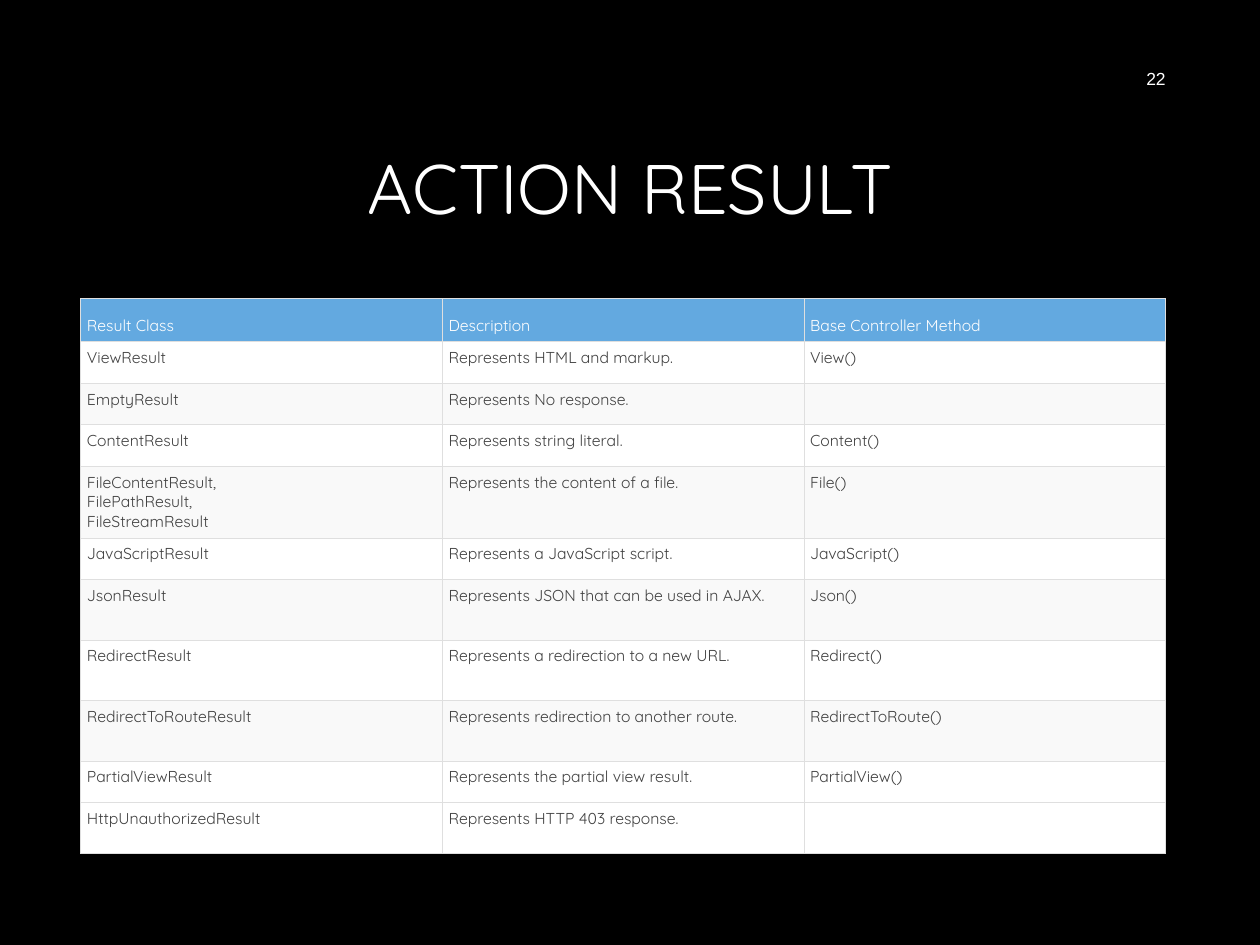
from lxml import etree
from pptx import Presentation
from pptx.dml.color import RGBColor
from pptx.enum.text import MSO_ANCHOR, PP_ALIGN
from pptx.oxml.ns import qn
from pptx.util import Inches, Pt

TOP, MIDDLE, BOTTOM = MSO_ANCHOR.TOP, MSO_ANCHOR.MIDDLE, MSO_ANCHOR.BOTTOM
CENTER, RIGHT = PP_ALIGN.CENTER, PP_ALIGN.RIGHT

BLACK, WHITE, GREY = "000000", "FFFFFF", "DFDFDF"
HEADER_FILL, BAND_FILL, BODY_TEXT = "63A9E0", "F9F9F9", "414141"

HEADERS = ("Result Class", "Description", "Base Controller Method")
RESULTS = [
    ("ViewResult", "Represents HTML and markup.", "View()"),
    ("EmptyResult", "Represents No response.", ""),
    ("ContentResult", "Represents string literal.", "Content()"),
    ("FileContentResult,\nFilePathResult,\nFileStreamResult",
     "Represents the content of a file.", "File()"),
    ("JavaScriptResult", "Represents a JavaScript script.", "JavaScript()"),
    ("JsonResult", "Represents JSON that can be used in AJAX.", "Json()"),
    ("RedirectResult", "Represents a redirection to a new URL.", "Redirect()"),
    ("RedirectToRouteResult", "Represents redirection to another route.",
     "RedirectToRoute()"),
    ("PartialViewResult", "Represents the partial view result.", "PartialView()"),
    ("HttpUnauthorizedResult", "Represents HTTP 403 response.", ""),
]
ROW_HEIGHTS = (0.31, 0.34, 0.33, 0.33, 0.33, 0.57, 0.33, 0.48, 0.48, 0.48, 0.33, 0.4)
COLUMN_WIDTH = 2.87


def rgb(value):
    """Return the colour for a hex string."""
    return RGBColor.from_string(value)


def write(tf, text, size, color, font, align=None):
    """Put one formatted paragraph in a text frame and return it."""
    p = tf.paragraphs[0]
    p.text = text
    p.alignment = align
    p.font.size = Pt(size)
    p.font.name = font
    p.font.color.rgb = rgb(color)
    return p


def add_title(slide, text):
    """Place and format the title placeholder."""
    sp = slide.shapes.title
    sp.left, sp.top = Inches(1.51), Inches(0.82)
    sp.width, sp.height = Inches(6.98), Inches(1.41)
    tf = sp.text_frame
    tf.vertical_anchor = MIDDLE
    p = write(tf, text, 40, WHITE, "Quicksand", CENTER)
    p.line_spacing = 0.9


def add_page_number(slide, text):
    """Add the page number at the top right."""
    sp = slide.shapes.add_textbox(Inches(7.19), Inches(0.42), Inches(2.16), Inches(0.4))
    tf = sp.text_frame
    tf.word_wrap = True
    tf.vertical_anchor = MIDDLE
    write(tf, text, 10, WHITE, "Arial", RIGHT)


def set_borders(cell, colors, width):
    """Draw the left, right, top and bottom borders of a cell."""
    tc_pr = cell._tc.get_or_add_tcPr()
    for side, color in zip("LRTB", colors):
        ln = etree.SubElement(tc_pr, qn(f"a:ln{side}"), w=str(Pt(width)))
        fill = etree.SubElement(ln, qn("a:solidFill"))
        etree.SubElement(fill, qn("a:srgbClr"), val=color)


def format_cell(cell, text, fill, color, anchor):
    """Fill a bordered cell and write its text."""
    set_borders(cell, [GREY] * 4, 0.34)
    cell.fill.solid()
    cell.fill.fore_color.rgb = rgb(fill)
    cell.vertical_anchor = anchor
    cell.margin_left = cell.margin_right = Inches(0.05)
    cell.margin_top = cell.margin_bottom = Inches(0.05 if text else 0)
    if text:
        write(cell.text_frame, text, 9, color, "Quicksand")


def format_spacer(cell):
    """Make a cell of the empty top row blend into the background."""
    set_borders(cell, [BLACK, BLACK, BLACK, GREY], 0.45)
    cell.fill.background()
    cell.margin_top = cell.margin_bottom = 0


def add_results_table(slide):
    """Add the table of action results."""
    columns = len(HEADERS)
    table = slide.shapes.add_table(
        len(ROW_HEIGHTS), columns, Inches(0.64), Inches(2.06),
        Inches(COLUMN_WIDTH * columns), Inches(sum(ROW_HEIGHTS))).table
    table.first_row = table.horz_banding = False
    for column in table.columns:
        column.width = Inches(COLUMN_WIDTH)
    for row, height in zip(table.rows, ROW_HEIGHTS):
        row.height = Inches(height)
    for c, header in enumerate(HEADERS):
        format_spacer(table.cell(0, c))
        format_cell(table.cell(1, c), header, HEADER_FILL, WHITE, BOTTOM)
    last = len(RESULTS) - 1
    for r, result in enumerate(RESULTS):
        fill = BAND_FILL if r % 2 and r != last else WHITE
        for c, text in enumerate(result):
            format_cell(table.cell(r + 2, c), text, fill, BODY_TEXT, TOP)


def main():
    """Build and save the slide."""
    prs = Presentation()
    prs.slide_width, prs.slide_height = Inches(10), Inches(7.5)
    s = prs.slides.add_slide(prs.slide_layouts[5])
    s.background.fill.solid()
    s.background.fill.fore_color.rgb = rgb(BLACK)
    add_title(s, "ACTION RESULT")
    add_page_number(s, "22")
    add_results_table(s)
    prs.save("out.pptx")


if __name__ == "__main__":
    main()
